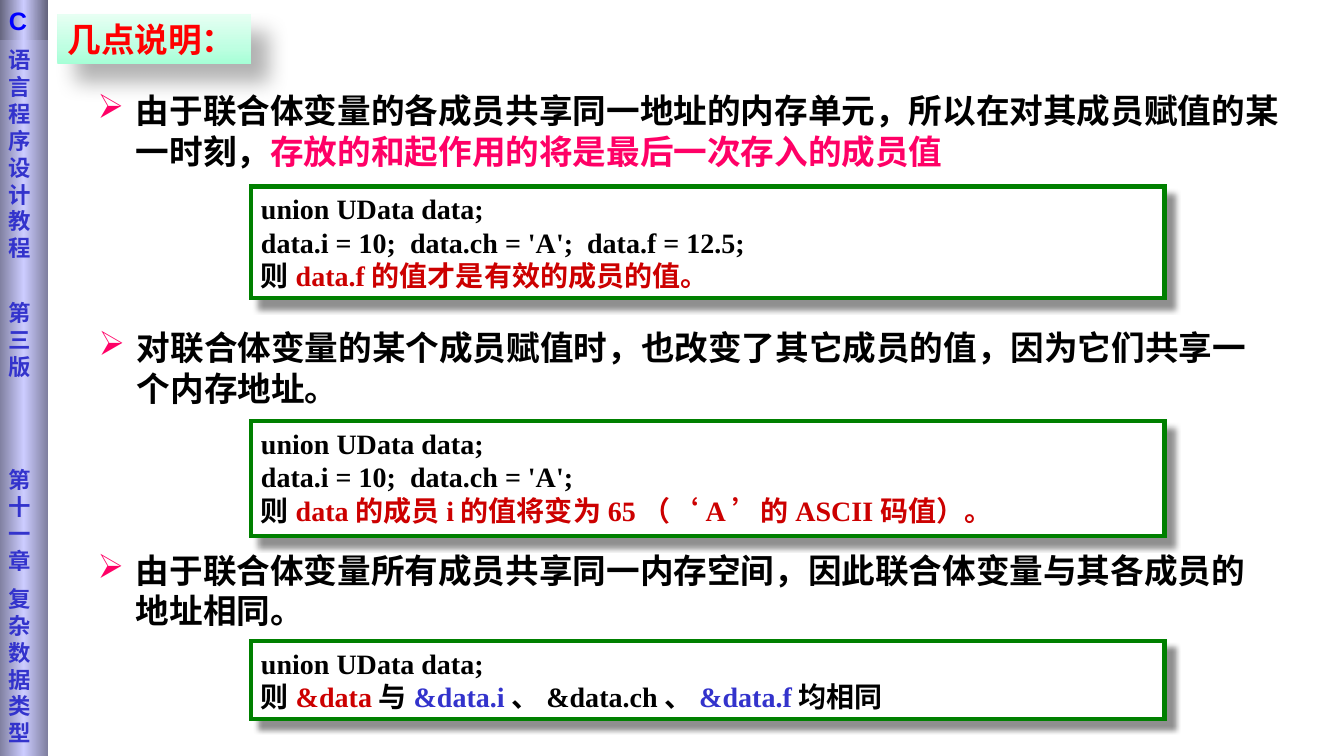
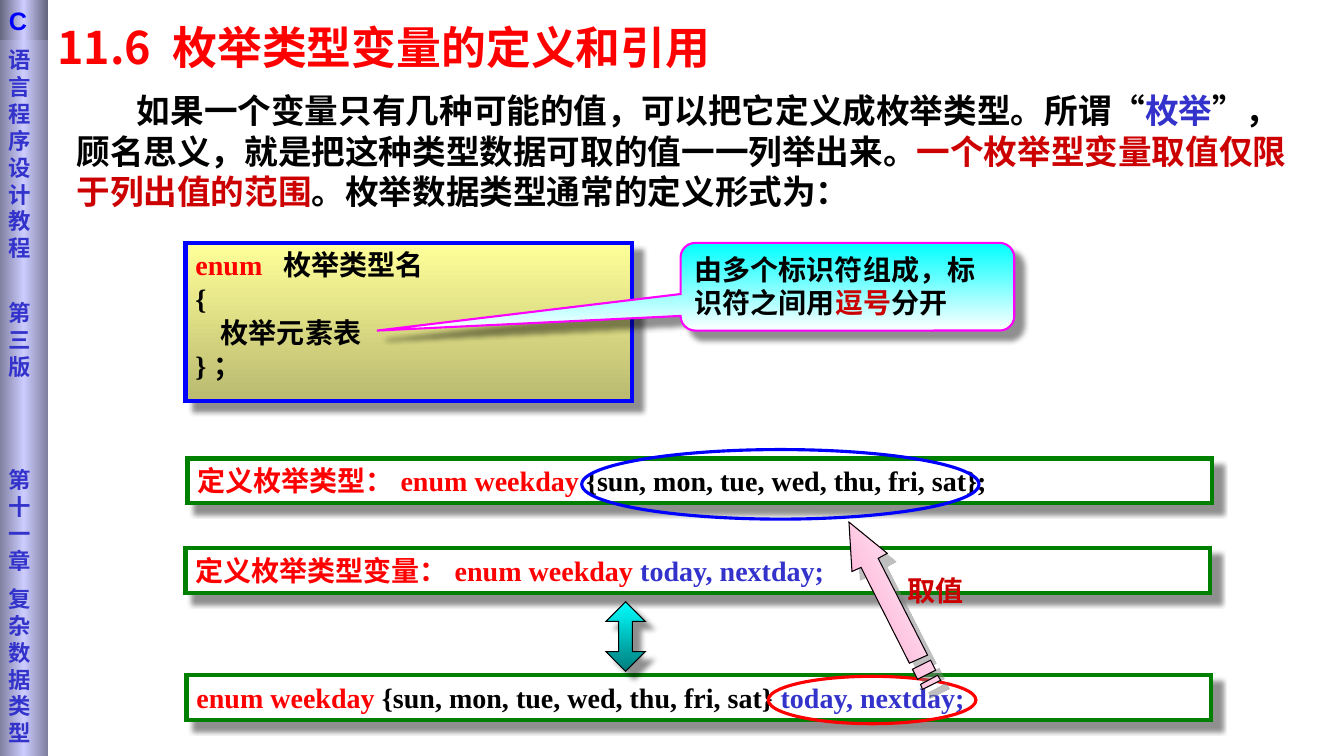
import dataclasses

import lxml.etree
import pptx
import pptx.dml.color
import pptx.enum.shapes
import pptx.enum.text
import pptx.oxml.ns
import pptx.util

Inches = pptx.util.Inches
Pt = pptx.util.Pt
qn = pptx.oxml.ns.qn
SHAPES = pptx.enum.shapes.MSO_SHAPE
ANCHOR = pptx.enum.text.MSO_ANCHOR


@dataclasses.dataclass(frozen=True)
class Theme:
    black: str = "000000"
    white: str = "FFFFFF"
    red: str = "FF0000"
    dark_red: str = "CC0000"
    pink: str = "FF0066"
    indigo: str = "3333CC"
    blue: str = "0000FF"
    green: str = "008000"
    magenta: str = "FF00FF"
    heading_size: int = 32
    body_size: int = 24
    code_size: int = 20
    band_title_size: int = 18
    band_size: int = 16
    line_factor: float = 1.2
    chinese: str = "Noto Sans CJK SC"
    serif: str = "Times New Roman"
    band_font: str = "DejaVu Sans"
    band_title_font: str = "Arial"
    title_gradient: tuple = ((0, "A5FFD6"), (35, "BFFFE2"), (100, "E7FFF3"))
    band_gradient: tuple = ((0, "7E7E9E"), (50, "CCCCFF"), (100, "7E7E9E"))
    band_title_gradient: tuple = ((0, "616179"), (50, "CCCCFF"), (100, "616179"))
    yellow_gradient: tuple = ((0, "FFFF99"), (100, "BABA70"))
    callout_gradient: tuple = ((0, "00FFFF"), (100, "FFFFFF"))
    teal_gradient: tuple = ((0, "00FFFF"), (100, "007C7C"))
    rose_gradient: tuple = ((0, "FF99CC"), (100, "FFFFFF"))
    box_shadow: tuple = ("000000", 43, 4, 8.4)
    title_shadow: tuple = ("000000", 30, 15, 18)
    arrow_shadow: tuple = ("808080", 50, 0, 8.5)


THEME = Theme()


def rgb(color):
    return pptx.dml.color.RGBColor.from_string(color)


def add_element(parent, tag, **attributes):
    element = lxml.etree.SubElement(parent, qn(tag))
    for name, value in attributes.items():
        element.set(name, str(value))
    return element


def place(shape, box):
    shape.left, shape.top, shape.width, shape.height = map(Inches, box)


def paint_gradient(shape, stops, angle):
    shape.fill.gradient()
    shape.fill.gradient_angle = -angle % 360
    stop_list = shape._element.spPr.find(qn("a:gradFill")).find(qn("a:gsLst"))
    for stop in list(stop_list):
        stop_list.remove(stop)
    for position, color in stops:
        stop = add_element(stop_list, "a:gs", pos=position * 1000)
        add_element(stop, "a:srgbClr", val=color)


def set_shadow(shape, shadow):
    shape.shadow.inherit = False
    if shadow is None:
        return
    color, opacity, blur, distance = shadow
    effects = shape._element.spPr.find(qn("a:effectLst"))
    outer = add_element(effects, "a:outerShdw", blurRad=Pt(blur), dist=Pt(distance),
                        dir=45 * 60000, algn="tl", rotWithShape=0)
    add_element(add_element(outer, "a:srgbClr", val=color), "a:alpha", val=opacity * 1000)


def decorate(shape, fill=None, angle=90, line=None, line_width=3, shadow=None):
    if fill is None:
        shape.fill.background()
    elif isinstance(fill, tuple):
        paint_gradient(shape, fill, angle)
    else:
        shape.fill.solid()
        shape.fill.fore_color.rgb = rgb(fill)
    if line:
        shape.line.color.rgb = rgb(line)
        shape.line.width = Pt(line_width)
        add_element(shape._element.spPr.find(qn("a:ln")), "a:miter", lim=800000)
    else:
        shape.line.fill.background()
    set_shadow(shape, shadow)


def write(shape, paragraphs, size, font, anchor=ANCHOR.TOP):
    frame = shape.text_frame
    frame.word_wrap = True
    frame.auto_size = pptx.enum.text.MSO_AUTO_SIZE.NONE
    frame.vertical_anchor = anchor
    for index, runs in enumerate(paragraphs):
        paragraph = frame.add_paragraph() if index else frame.paragraphs[0]
        paragraph.alignment = pptx.enum.text.PP_ALIGN.LEFT
        paragraph.line_spacing = Pt(size * THEME.line_factor)
        for text, color in runs:
            run = paragraph.add_run()
            run.text = text
            run.font.size = Pt(size)
            run.font.bold = True
            run.font.name = font
            run.font.color.rgb = rgb(color)
            add_element(run._r.get_or_add_rPr(), "a:ea", typeface=THEME.chinese)
    return frame


def add_shape(slide, kind, box, **style):
    shape = slide.shapes.add_shape(kind, *map(Inches, box))
    decorate(shape, **style)
    return shape


def add_title(slide, text, box, size):
    title = slide.shapes.title
    place(title, box)
    write(title, [[(text, THEME.red)]], size, THEME.chinese, ANCHOR.MIDDLE)
    return title


def add_body(slide, box, runs):
    body = slide.shapes.add_textbox(*map(Inches, box))
    frame = write(body, [runs], THEME.body_size, THEME.chinese, ANCHOR.MIDDLE)
    return frame.paragraphs[0]._p.get_or_add_pPr()


def add_bullet(slide, box, runs):
    properties = add_body(slide, box, runs)
    properties.set("marL", str(Inches(0.38)))
    properties.set("indent", str(-Inches(0.38)))
    add_element(add_element(properties, "a:buClr"), "a:srgbClr", val=THEME.pink)
    add_element(properties, "a:buChar", char="➢")


def add_code_box(slide, box, paragraphs, fill=THEME.white, line=THEME.green):
    shape = add_shape(slide, SHAPES.RECTANGLE, box, fill=fill, line=line,
                      shadow=THEME.box_shadow)
    write(shape, paragraphs, THEME.code_size, THEME.serif)


def add_ring(slide, box, color):
    add_shape(slide, SHAPES.OVAL, box, line=color, line_width=2.25)


def add_side_band(slide):
    band = add_shape(slide, SHAPES.RECTANGLE, (-0.01, 0, 0.49, 7.5),
                     fill=THEME.band_gradient, angle=0)
    labels = ["语言程序设计教程", "第三版", "第十一章", "复杂数据类型"]
    frame = write(band, [[(label, THEME.indigo)] for label in labels],
                  THEME.band_size, THEME.band_font)
    frame.margin_top = Inches(0.46)
    for paragraph, gap in zip(frame.paragraphs[1:], (27, 62, 8)):
        paragraph.space_before = Pt(gap)
    cap = add_shape(slide, SHAPES.RECTANGLE, (-0.01, 0, 0.49, 0.4),
                    fill=THEME.band_title_gradient, angle=0)
    write(cap, [[("C", THEME.blue)]], THEME.band_title_size, THEME.band_title_font,
          ANCHOR.MIDDLE)


def add_striped_arrow(slide):
    head = [(845, 567), (854, 563), (902, 658), (920, 650), (871, 554), (880, 549),
            (842, 518)]
    wide_stripe = [(910, 674), (928, 665), (923, 655), (905, 664)]
    narrow_stripe = [(915, 684), (933, 675), (930, 670), (913, 679)]
    builder = slide.shapes.build_freeform(*head[0], scale=Inches(0.01))
    builder.add_line_segments(head[1:], close=True)
    for stripe in (wide_stripe, narrow_stripe):
        builder.move_to(*stripe[0])
        builder.add_line_segments(stripe[1:], close=True)
    decorate(builder.convert_to_shape(), fill=THEME.rose_gradient, angle=333,
             line=THEME.black, line_width=0.75, shadow=THEME.arrow_shadow)


def build_union_slide(slide):
    black, dark_red, indigo = THEME.black, THEME.dark_red, THEME.indigo
    title = add_title(slide, "几点说明：", (0.57, 0.14, 1.92, 0.5), THEME.body_size)
    decorate(title, fill=THEME.title_gradient, angle=270, shadow=THEME.title_shadow)
    add_bullet(slide, (0.87, 0.84, 11.94, 0.91), [
        ("由于联合体变量的各成员共享同一地址的内存单元，所以在对其成员赋值的某一时刻，", black),
        ("存放的和起作用的将是最后一次存入的成员值", THEME.pink)])
    add_bullet(slide, (0.88, 3.19, 11.64, 0.91), [
        ("对联合体变量的某个成员赋值时，也改变了其它成员的值，因为它们共享一个内存地址。", black)])
    add_bullet(slide, (0.87, 5.4, 11.64, 0.91), [
        ("由于联合体变量所有成员共享同一内存空间，因此联合体变量与其各成员的地址相同。", black)])
    declaration = [("union UData data;", black)]
    examples = [
        (1.85, 1.11, [[("data.i = 10;  data.ch = 'A';  data.f = 12.5;", black)],
                      [("则", black), ("data.f的值才是有效的成员的值。", dark_red)]]),
        (4.18, 1.14, [[("data.i = 10;  data.ch = 'A';", black)],
                      [("则", black),
                       ("data的成员i的值将变为65（‘A’的ASCII码值）。", dark_red)]]),
        (6.36, 0.77, [[("则", black), ("&data", dark_red), ("与", black),
                       ("&data.i", indigo), ("、&data.ch、", black),
                       ("&data.f", indigo), ("均相同", black)]]),
    ]
    for top, height, lines in examples:
        add_code_box(slide, (2.49, top, 9.06, height), [declaration] + lines)


def build_enum_slide(slide):
    black, red, dark_red, indigo = THEME.black, THEME.red, THEME.dark_red, THEME.indigo
    add_title(slide, "11.6 枚举类型变量的定义和引用", (0.47, 0.15, 7.51, 0.63),
              THEME.heading_size)
    properties = add_body(slide, (0.66, 0.84, 12.31, 1.31), [
        ("如果一个变量只有几种可能的值，可以把它定义成枚举类型。所谓“", black),
        ("枚举", indigo),
        ("”，顾名思义，就是把这种类型数据可取的值一一列举出来。", black),
        ("一个枚举型变量取值仅限于列出值的范围", dark_red),
        ("。枚举数据类型通常的定义形式为：", black)])
    properties.set("indent", str(Inches(0.6)))

    add_code_box(slide, (1.84, 2.41, 4.43, 1.57), [
        [("enum  ", red), ("枚举类型名", black)],
        [("{", black)],
        [("    枚举元素表", black)],
        [("}；", black)]], fill=THEME.yellow_gradient, line=THEME.blue)
    callout = add_shape(slide, SHAPES.ROUNDED_RECTANGULAR_CALLOUT, (6.75, 2.41, 3.31, 0.87),
                        fill=THEME.callout_gradient, line=THEME.magenta, line_width=1.5,
                        shadow=THEME.box_shadow)
    callout.adjustments[0] = -1.41
    callout.adjustments[1] = 0.5
    write(callout, [[("由多个标识符组成，标识符之间用", black), ("逗号", dark_red),
                     ("分开", black)]], THEME.code_size, THEME.serif)

    members = "{sun, mon, tue, wed, thu, fri, sat}"
    variables = ("today, nextday;", indigo)
    statements = [
        (1.86, 4.55, [("定义枚举类型：enum weekday", red), (f" {members};", black)]),
        (1.84, 5.44, [("定义枚举类型变量：enum weekday ", red), variables]),
        (1.85, 6.7, [("enum weekday", red), (f" {members} ", black), variables]),
    ]
    for left, top, runs in statements:
        add_code_box(slide, (left, top, 10.16, 0.44), [runs])

    equivalence = add_shape(slide, SHAPES.UP_DOWN_ARROW, (6.01, 5.97, 0.39, 0.69),
                            fill=THEME.teal_gradient, line=black, line_width=0.75,
                            shadow=THEME.box_shadow)
    equivalence.adjustments[1] = 0.35
    add_ring(slide, (7.62, 6.71, 2.06, 0.47), red)
    add_ring(slide, (5.77, 4.46, 3.94, 0.69), THEME.blue)
    add_striped_arrow(slide)
    label = slide.shapes.add_textbox(*map(Inches, (8.9, 5.64, 0.9, 0.43)))
    write(label, [[("取值", dark_red)]], THEME.code_size, THEME.chinese)


def main():
    presentation = pptx.Presentation()
    presentation.slide_width = Inches(13.33)
    presentation.slide_height = Inches(7.5)
    for build in (build_union_slide, build_enum_slide):
        slide = presentation.slides.add_slide(presentation.slide_layouts[5])
        build(slide)
        add_side_band(slide)
    presentation.save("out.pptx")


if __name__ == "__main__":
    main()
